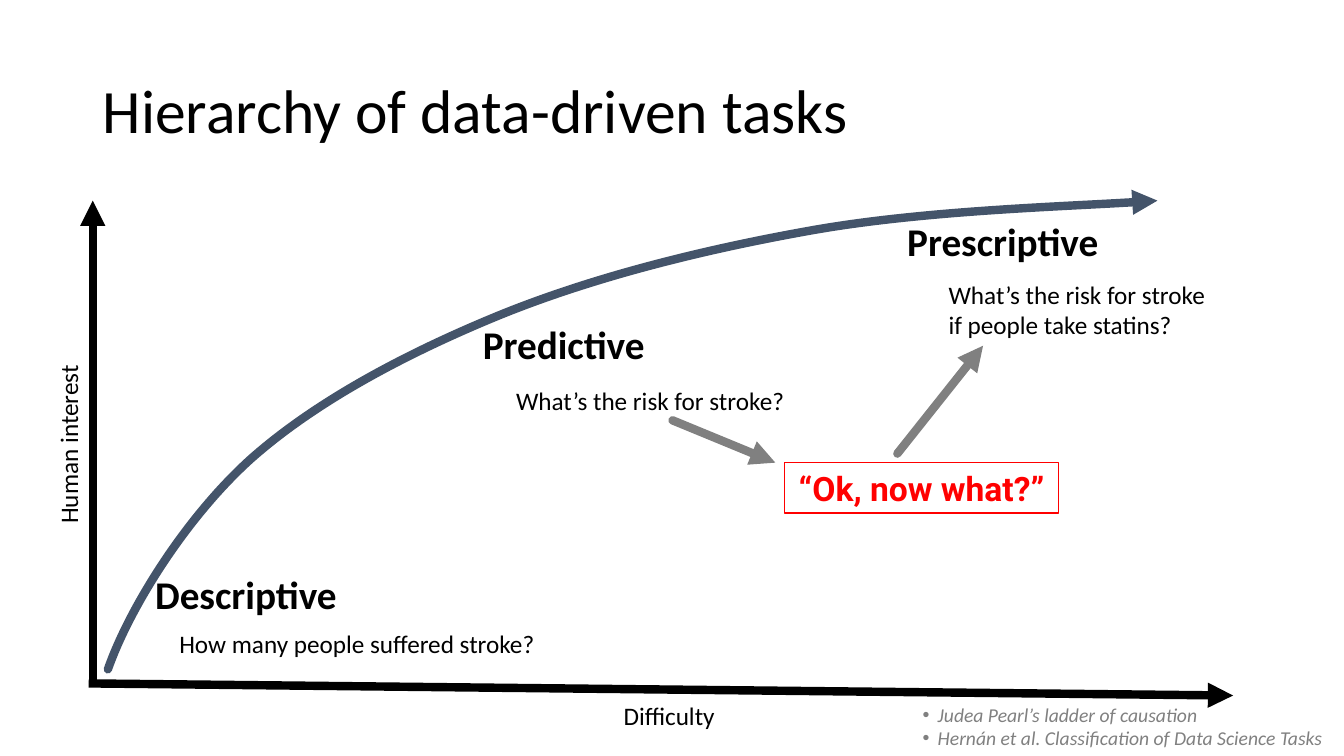
"""Build the slide on the hierarchy of data-driven tasks."""
from dataclasses import dataclass

from lxml import etree
from pptx import Presentation
from pptx.dml.color import RGBColor
from pptx.enum.shapes import MSO_CONNECTOR, MSO_SHAPE
from pptx.enum.text import MSO_ANCHOR, MSO_AUTO_SIZE, PP_ALIGN
from pptx.oxml.ns import qn
from pptx.util import Pt

LEFT, CENTER = PP_ALIGN.LEFT, PP_ALIGN.CENTER
TOP, MIDDLE = MSO_ANCHOR.TOP, MSO_ANCHOR.MIDDLE
NO_AUTOFIT = MSO_AUTO_SIZE.NONE
STRAIGHT = MSO_CONNECTOR.STRAIGHT
RECTANGLE = MSO_SHAPE.RECTANGLE

EMU_PER_PX = 9144
COLORS = {
    "ink": "000000",
    "paper": "FFFFFF",
    "curve": "44546A",
    "muted": "808080",
    "alert": "FF0000",
}


@dataclass(frozen=True)
class Style:
    size: int
    color: str = "ink"
    font: str = "Calibri"
    bold: bool = False
    italic: bool = False
    align: PP_ALIGN = LEFT


@dataclass(frozen=True)
class Label:
    text: str
    box: tuple[int, int, int, int]
    style: Style
    rotation: int = 0


@dataclass(frozen=True)
class Arrow:
    start: tuple[int, int]
    end: tuple[int, int]
    color: str
    cap: str


TITLE = Style(44)
STAGE = Style(28, bold=True)
QUESTION = Style(18)
AXIS = Style(18, align=CENTER)
REFERENCE = Style(14, "muted", italic=True)
CALLOUT = Style(24, "alert", "Roboto", bold=True, align=CENTER)

LABELS = [
    Label("Difficulty ", (570, 690, 193, 40), AXIS),
    Label("Human interest ", (-29, 418, 193, 40), AXIS, 270),
    Label("Descriptive", (144, 561, 234, 57), STAGE),
    Label("Predictive", (469, 313, 234, 57), STAGE),
    Label("Prescriptive", (890, 211, 234, 57), STAGE),
    Label("How many people suffered stroke?", (168, 618, 387, 40), QUESTION),
    Label("What’s the risk for stroke?", (502, 377, 387, 40), QUESTION),
    Label("What’s the risk for stroke if people take statins?", (931, 272, 291, 71), QUESTION),
]
AXES = [
    Arrow((92, 678), (92, 199), "ink", "flat"),
    Arrow((88, 678), (1223, 690), "ink", "flat"),
]
STEPS = [
    Arrow((667, 417), (769, 459), "muted", "rnd"),
    Arrow((890, 450), (975, 343), "muted", "rnd"),
]
CURVE_START = (107, 664)
CURVE_POINTS = [
    (128, 604), (183, 515), (248, 456),
    (313, 398), (404, 350), (497, 312),
    (591, 274), (700, 247), (808, 228),
    (917, 209), (1082, 204), (1148, 199),
]
REFERENCES = [
    "Judea Pearl’s ladder of causation",
    "Hernán et al. Classification of Data Science Tasks",
]


def px(*lengths: int) -> list[int]:
    """Turn px into EMU."""
    return [length * EMU_PER_PX for length in lengths]


def rgb(name: str) -> RGBColor:
    """Look up a named colour."""
    return RGBColor.from_string(COLORS[name])


def place(shape, box: tuple[int, int, int, int]) -> None:
    """Move and size a shape."""
    shape.left, shape.top, shape.width, shape.height = px(*box)


def format_text(text_frame, style: Style, anchor: MSO_ANCHOR = TOP) -> None:
    """Apply a style to all text in a frame."""
    text_frame.word_wrap = True
    text_frame.auto_size = NO_AUTOFIT
    text_frame.vertical_anchor = anchor
    for paragraph in text_frame.paragraphs:
        paragraph.alignment = style.align
        paragraph.space_before = Pt(0)
        for run in paragraph.runs:
            font = run.font
            font.name, font.size = style.font, Pt(style.size)
            font.bold, font.italic = style.bold, style.italic
            font.color.rgb = rgb(style.color)


def format_arrow(shape, color: str, cap: str) -> None:
    """Give a line its colour, weight, cap and arrowhead."""
    shape.line.color.rgb = rgb(color)
    shape.line.width = Pt(6)
    properties = shape.line._get_or_add_ln()
    properties.set("cap", cap)
    etree.SubElement(properties, qn("a:tailEnd"), type="triangle")


def add_title(slide) -> None:
    """Fill the title placeholder."""
    title = slide.shapes.title
    place(title, (92, 40, 1150, 145))
    title.text_frame.text = "Hierarchy of data-driven tasks"
    format_text(title.text_frame, TITLE, MIDDLE)
    title.text_frame.paragraphs[0].line_spacing = 0.9


def add_references(slide) -> None:
    """Fill the body placeholder with the bulleted references."""
    body = slide.placeholders[1]
    place(body, (889, 692, 439, 57))
    body.text_frame.text = "\n".join(REFERENCES)
    indent, hanging = px(31, -15)
    for paragraph in body.text_frame.paragraphs:
        properties = paragraph._p.get_or_add_pPr()
        properties.set("marL", str(indent))
        properties.set("indent", str(hanging))
        etree.SubElement(properties, qn("a:buFont"), typeface="Arial")
        etree.SubElement(properties, qn("a:buChar"), char="•")
    format_text(body.text_frame, REFERENCE)


def add_label(slide, label: Label) -> None:
    """Add a text box."""
    box = slide.shapes.add_textbox(*px(*label.box))
    box.rotation = label.rotation
    box.text_frame.text = label.text
    format_text(box.text_frame, label.style)


def add_arrow(slide, arrow: Arrow) -> None:
    """Add a straight arrow."""
    connector = slide.shapes.add_connector(STRAIGHT, *px(*arrow.start, *arrow.end))
    format_arrow(connector, arrow.color, arrow.cap)
    etree.SubElement(connector._element.spPr, qn("a:effectLst"))


def add_curve(slide) -> None:
    """Add the rising curve, each three points forming one Bézier segment."""
    builder = slide.shapes.build_freeform(*CURVE_START, scale=EMU_PER_PX)
    builder.add_line_segments(CURVE_POINTS, close=False)
    curve = builder.convert_to_shape()
    curve.shadow.inherit = False
    curve.fill.background()
    format_arrow(curve, "curve", "rnd")
    lines = list(curve._element.iter(qn("a:lnTo")))
    for first in range(0, len(lines), 3):
        segment = etree.Element(qn("a:cubicBezTo"))
        lines[first].addprevious(segment)
        for line in lines[first:first + 3]:
            segment.append(line[0])
            line.getparent().remove(line)


def add_callout(slide) -> None:
    """Add the framed question between prediction and prescription."""
    callout = slide.shapes.add_shape(RECTANGLE, *px(778, 459, 272, 50))
    callout.shadow.inherit = False
    callout.fill.solid()
    callout.fill.fore_color.rgb = rgb("paper")
    callout.line.color.rgb = rgb("alert")
    callout.line.width = Pt(0.75)
    callout.text_frame.text = "“Ok, now what?”"
    format_text(callout.text_frame, CALLOUT, MIDDLE)


def main() -> None:
    """Build and save the presentation."""
    presentation = Presentation()
    presentation.slide_width, presentation.slide_height = px(1333, 750)
    slide = presentation.slides.add_slide(presentation.slide_layouts[1])
    add_title(slide)
    for axis in AXES:
        add_arrow(slide, axis)
    add_curve(slide)
    for label in LABELS:
        add_label(slide, label)
    add_references(slide)
    add_callout(slide)
    for step in STEPS:
        add_arrow(slide, step)
    presentation.save("out.pptx")


if __name__ == "__main__":
    main()
